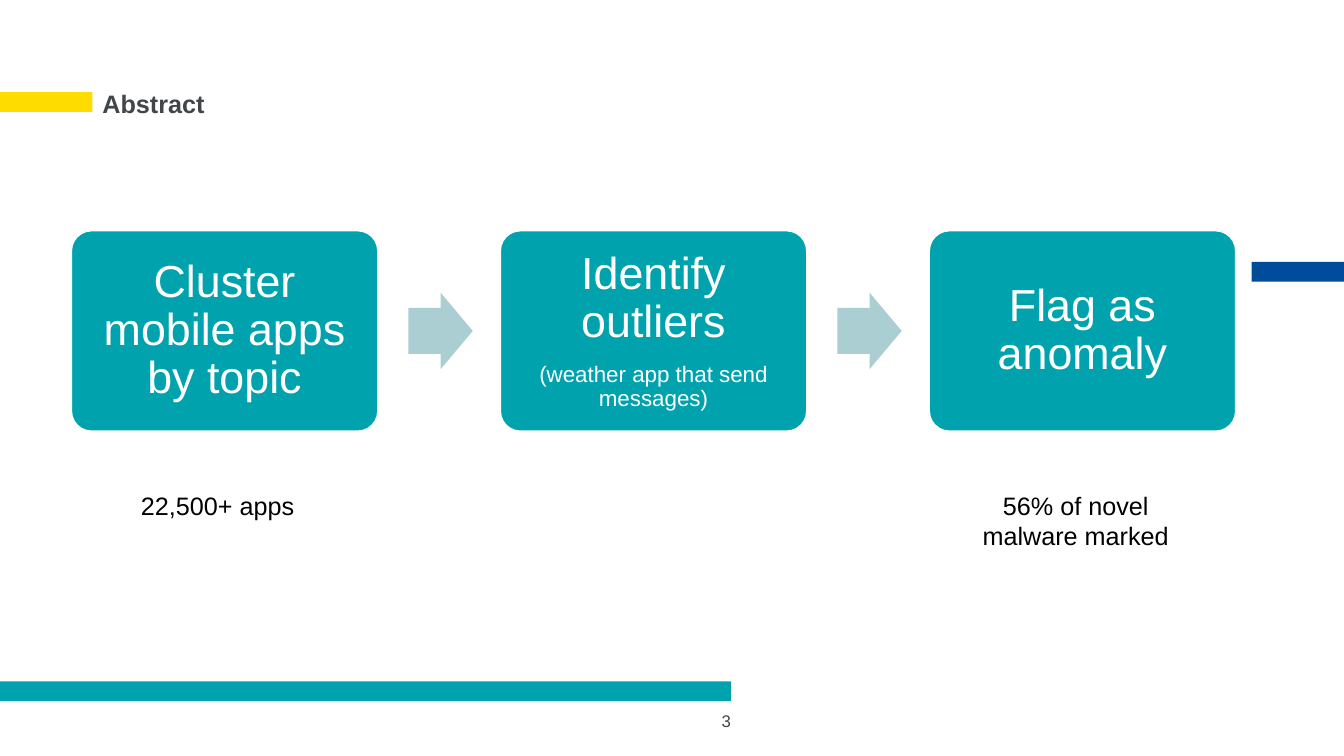
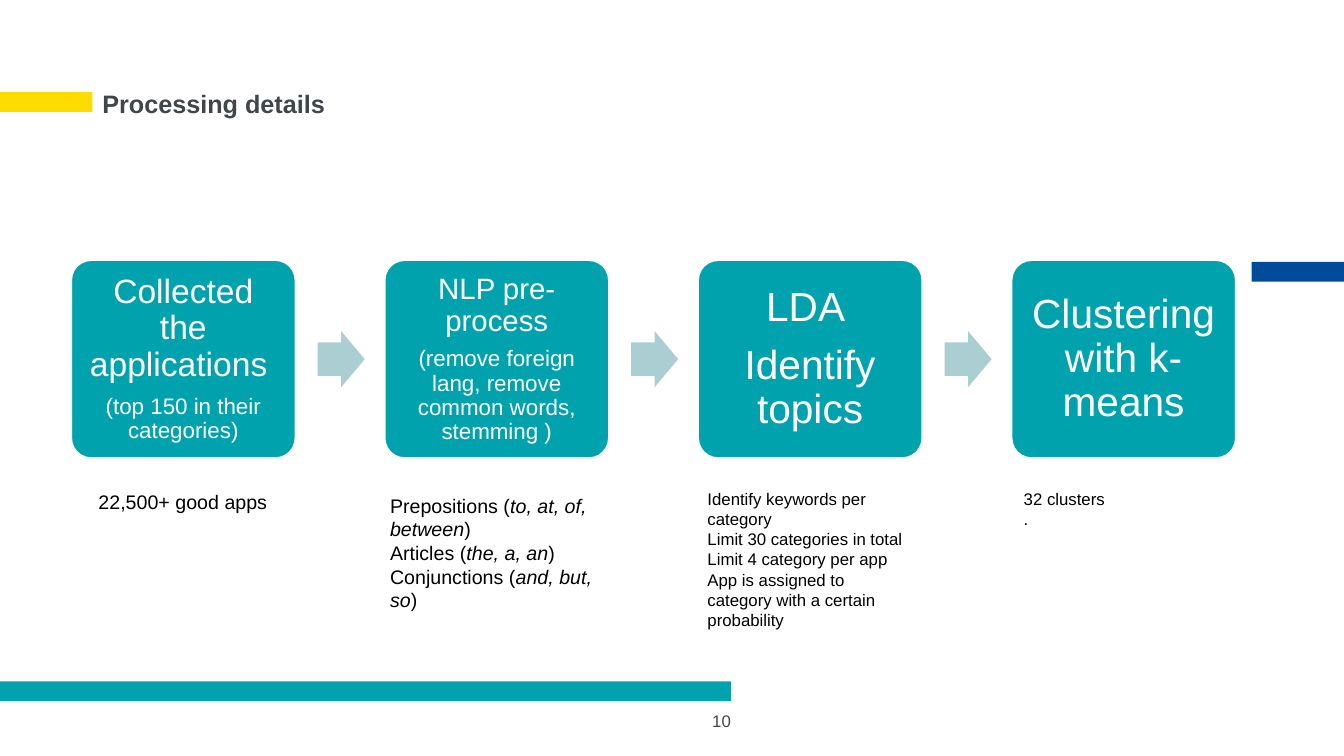
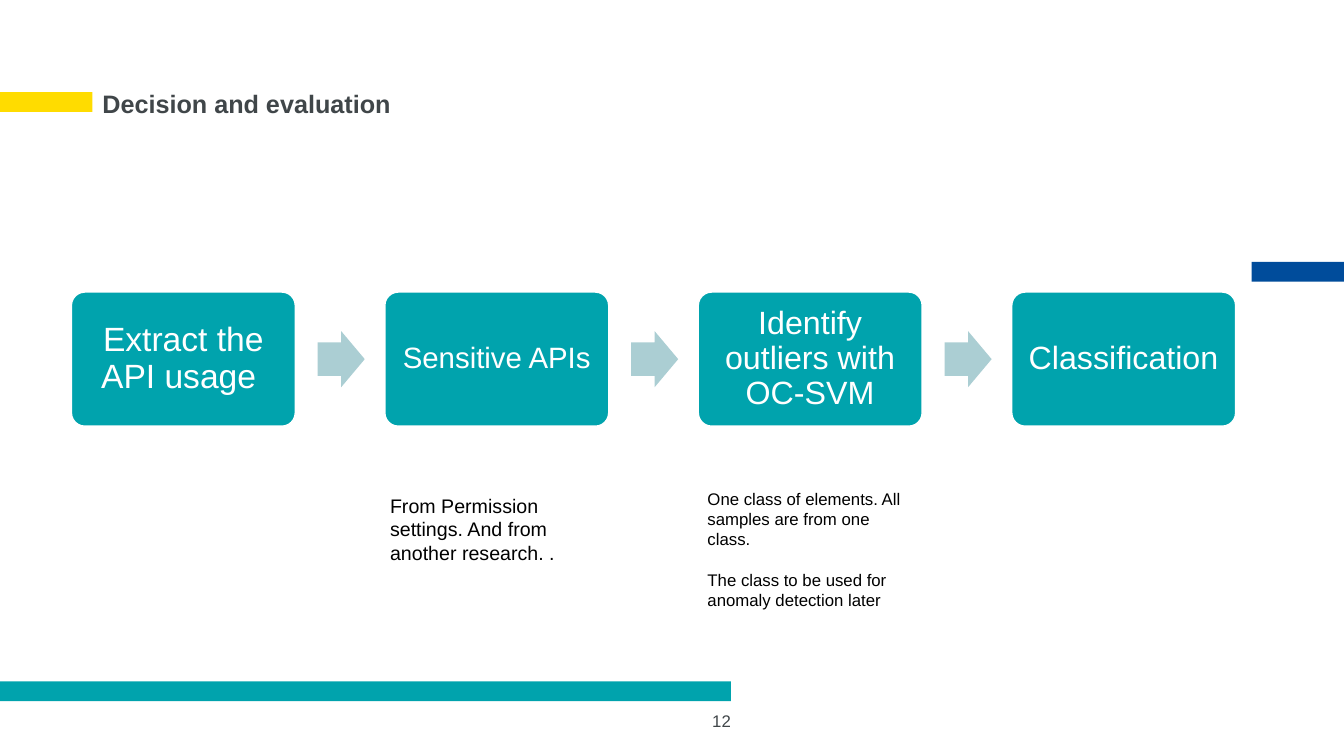
from pptx import Presentation
from pptx.dml.color import RGBColor
from pptx.enum.shapes import MSO_SHAPE as Preset
from pptx.enum.text import MSO_ANCHOR as Anchor, PP_ALIGN as Align
from pptx.util import Cm, Pt

FONT = "Arial"
WHITE, BLACK, INK = "FFFFFF", "000000", "404649"
TEAL, PALE_TEAL, YELLOW, BLUE = "00A3AD", "ABCED3", "FFDC00", "004C9B"
SLIDE_WIDTH, SLIDE_HEIGHT = 33.87, 19.05
FLOW_LEFT, FLOW_WIDTH = 1.8, 29.34
BOX_STEP, ARROW_START = 1.4, 1.1  # in box widths
ARROW_WIDTH, ARROW_HEIGHT = 0.21, 0.25  # in box widths
CAPTION_WIDTH = 5.66


def color(hex_text):
    """Turn a hex string into a colour."""
    return RGBColor.from_string(hex_text)


def add_block(slide, preset, box, fill, line=None):
    """Add a flat preset shape in box (left, top, width, height in cm)."""
    shape = slide.shapes.add_shape(preset, *map(Cm, box))
    shape.shadow.inherit = False
    shape.fill.solid()
    shape.fill.fore_color.rgb = color(fill)
    if line:
        shape.line.color.rgb = color(line)
        shape.line.width = Pt(1)
    else:
        shape.line.fill.background()
    return shape


def write_paragraph(paragraph, text, size, hex_text, align=Align.LEFT, bold=False):
    """Write one paragraph; text between asterisks is italic."""
    paragraph.alignment = align
    for index, part in enumerate(text.split("*")):
        run = paragraph.add_run()
        run.text = part
        font = run.font
        font.name, font.size, font.bold = FONT, Pt(size), bold
        font.italic = index % 2 == 1
        font.color.rgb = color(hex_text)


def add_text(slide, box, lines, size, hex_text=BLACK, align=Align.LEFT,
             anchor=Anchor.TOP, bold=False, gap=0):
    """Add a wrapping text box with one paragraph per line, gap points apart."""
    frame = slide.shapes.add_textbox(*map(Cm, box)).text_frame
    frame.word_wrap = True
    frame.vertical_anchor = anchor
    for index, line in enumerate(lines):
        paragraph = frame.add_paragraph() if index else frame.paragraphs[0]
        write_paragraph(paragraph, line, size, hex_text, align, bold)
        if index and gap:
            paragraph.space_before = Pt(gap)


def add_frame(slide, title, number):
    """Add the bands, the title and the page number."""
    add_block(slide, Preset.RECTANGLE, (0, 2.32, 2.33, 0.5), YELLOW)
    add_block(slide, Preset.RECTANGLE, (0, 17.17, 18.42, 0.5), TEAL)
    add_block(slide, Preset.RECTANGLE, (31.54, 6.6, SLIDE_WIDTH - 31.54, 0.5), BLUE)
    add_text(slide, (2.33, 0.76, 26.47, 3.68), [title], 18, INK,
             anchor=Anchor.MIDDLE, bold=True)
    add_text(slide, (13.87, 17.65, 4.8, 1.02), [number], 12, INK,
             Align.RIGHT, Anchor.MIDDLE)


def add_step(slide, box, lines):
    """Add a rounded step holding (text, size) lines."""
    shape = add_block(slide, Preset.ROUNDED_RECTANGLE, box, TEAL, WHITE)
    shape.adjustments[0] = 0.1
    frame = shape.text_frame
    frame.word_wrap = True
    frame.vertical_anchor = Anchor.MIDDLE
    inset = Cm(0.0105 * lines[0][1])
    frame.margin_left = frame.margin_right = inset
    frame.margin_top = frame.margin_bottom = inset
    for index, (text, size) in enumerate(lines):
        paragraph = frame.add_paragraph() if index else frame.paragraphs[0]
        write_paragraph(paragraph, text, size, WHITE, Align.CENTER)
        paragraph.line_spacing = 0.9
        paragraph.space_after = Pt(round(0.35 * size, 1))


def add_flow(slide, middle, height, steps):
    """Spread steps over the flow width, with an arrow in each gap."""
    width = FLOW_WIDTH / (1 + BOX_STEP * (len(steps) - 1))
    arrow_width, arrow_height = ARROW_WIDTH * width, ARROW_HEIGHT * width
    for index, lines in enumerate(steps):
        left = FLOW_LEFT + index * BOX_STEP * width
        add_step(slide, (left, middle - height / 2, width, height), lines)
        if index < len(steps) - 1:
            arrow = add_block(slide, Preset.RIGHT_ARROW,
                              (left + ARROW_START * width, middle - arrow_height / 2,
                               arrow_width, arrow_height), PALE_TEAL)
            arrow.adjustments[0], arrow.adjustments[1] = 0.6, 0.5


def add_caption(slide, left, top, height, lines, size, align=Align.LEFT, gap=0):
    """Add the note under a step."""
    add_text(slide, (left, top, CAPTION_WIDTH, height), lines, size,
             align=align, gap=gap)


def add_abstract(slide):
    """Build the three-step overview."""
    add_frame(slide, "Abstract", "3")
    add_flow(slide, 8.34, 5.05, [
        [("Cluster mobile apps by topic", 32)],
        [("Identify outliers", 32), ("(weather app that send messages)", 16)],
        [("Flag as anomaly", 32)],
    ])
    add_caption(slide, 3.3, 12.22, 1.02, ["22,500+ apps"], 18)
    add_caption(slide, 24.28, 12.22, 1.8, ["56% of novel malware marked"], 18, Align.CENTER)


def add_processing(slide):
    """Build the four processing steps and their notes."""
    add_frame(slide, "Processing details", "10")
    add_flow(slide, 9.05, 4.98, [
        [("Collected the applications ", 24), ("(top 150 in their categories)", 16)],
        [("NLP pre-process", 21),
         ("(remove foreign lang, remove common words, stemming )", 16)],
        [("LDA ", 29), ("Identify topics", 29)],
        [("Clustering with k-means", 29)],
    ])
    add_caption(slide, 1.78, 12.22, 0.86, ["22,500+ good apps"], 14, Align.CENTER)
    add_caption(slide, 9.58, 12.32, 3.25, [
        "Prepositions (*to, at, of, between*)",
        "Articles (*the, a, an*)",
        "Conjunctions (*and, but, so*)",
    ], 14)
    add_caption(slide, 17.58, 12.19, 3.84, [
        "Identify keywords per category",
        "Limit 30 categories in total",
        "Limit 4 category per app",
        "App is assigned to category with a certain probability",
    ], 12)
    add_caption(slide, 25.55, 12.19, 1.27, ["32 clusters", "."], 12)


def add_decision(slide):
    """Build the four decision steps and their notes."""
    add_frame(slide, "Decision and evaluation", "12")
    add_flow(slide, 9.05, 3.38, [
        [("Extract the API usage ", 24)],
        [("Sensitive APIs", 21)],
        [("Identify outliers with OC-SVM", 23)],
        [("Classification", 23)],
    ])
    add_caption(slide, 9.58, 12.32, 2.06,
                ["From Permission settings. And from another research. ."], 14)
    add_caption(slide, 17.58, 12.19, 3.84, [
        "One class of elements. All samples are from one class.",
        "The class to be used for anomaly detection later",
    ], 12, gap=14.4)


presentation = Presentation()
presentation.slide_width, presentation.slide_height = Cm(SLIDE_WIDTH), Cm(SLIDE_HEIGHT)
for build in (add_abstract, add_processing, add_decision):
    build(presentation.slides.add_slide(presentation.slide_layouts[6]))
presentation.save("out.pptx")
